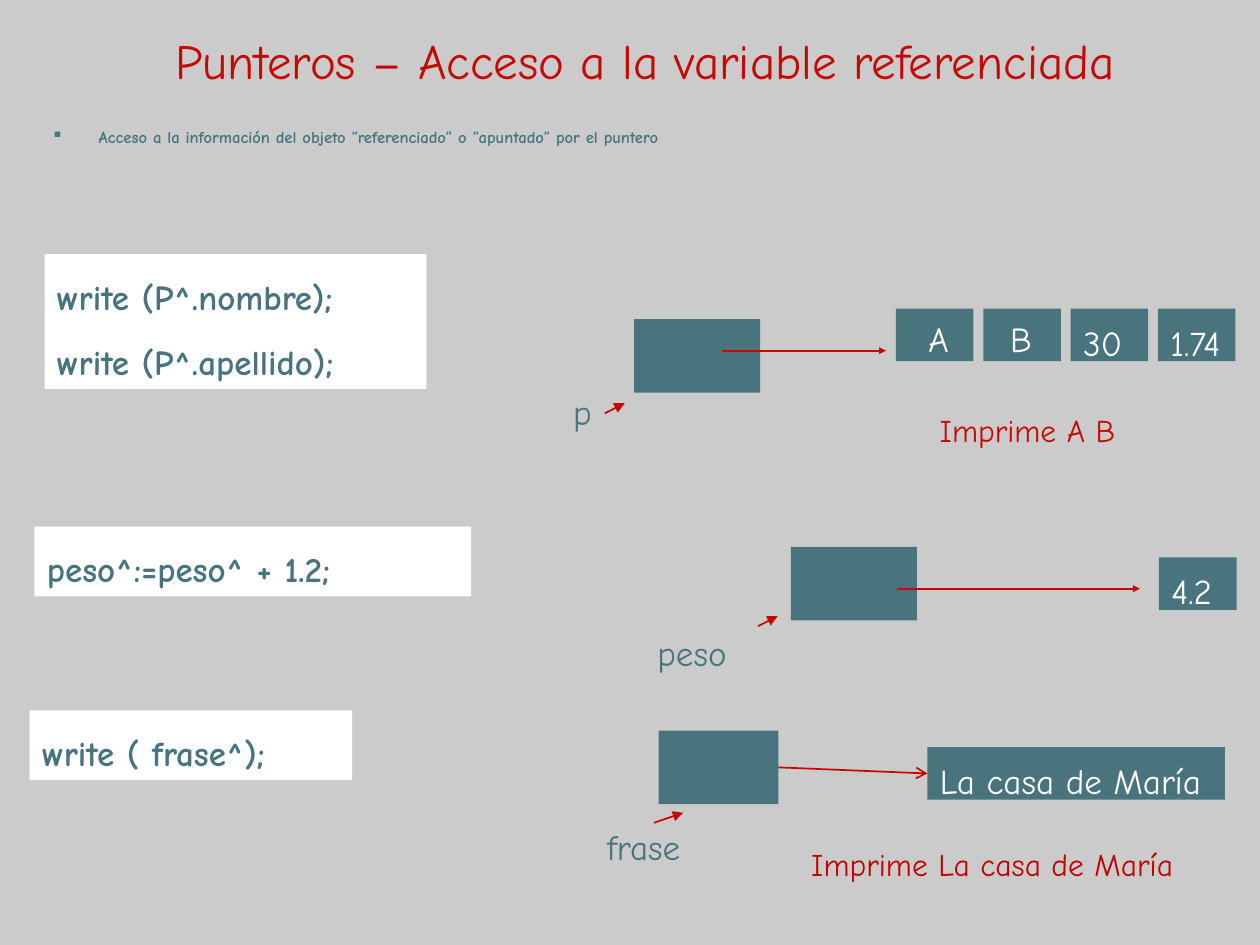
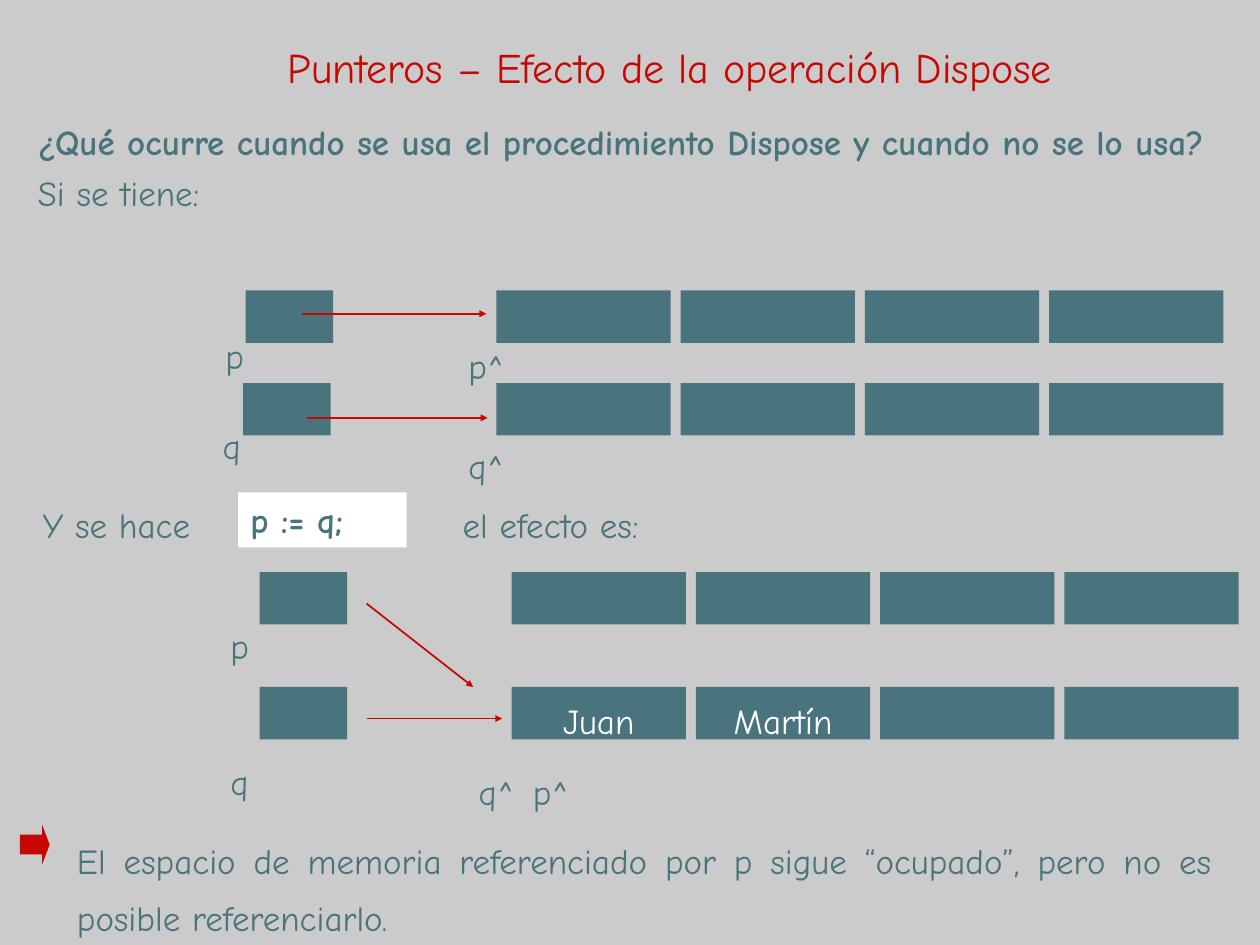
from dataclasses import dataclass

from lxml import etree
from pptx import Presentation
from pptx import util as u
from pptx.dml.color import RGBColor
from pptx.enum import shapes, text
from pptx.oxml import ns

Pt = u.Pt
MIDDLE = text.MSO_ANCHOR.MIDDLE
TOP = text.MSO_ANCHOR.TOP
LEFT = text.PP_ALIGN.LEFT
CENTER = text.PP_ALIGN.CENTER
JUSTIFY = text.PP_ALIGN.JUSTIFY


@dataclass(frozen=True)
class Theme:
    font: str = "Comic Neue"
    back: str = "CBCBCB"
    teal: str = "49747D"
    red: str = "C60702"
    dark_red: str = "C00000"
    white: str = "FFFFFF"
    body: float = 20
    note: float = 18
    bullet: float = 9.5
    loose: float = 1.35
    gap: float = 5
    indent: float = 27
    line: float = 1


T = Theme()


def rgb(value):
    return RGBColor.from_string(value)


def child(parent, tag, **attrs):
    return etree.SubElement(parent, ns.qn(tag), **attrs)


def write(sp, content, color=T.teal, size=T.body, bold=False, align=LEFT,
          spacing=T.loose, anchor=TOP):
    tf = sp.text_frame
    tf.text = content
    tf.word_wrap = True
    tf.vertical_anchor = anchor
    for i, p in enumerate(tf.paragraphs):
        p.alignment = align
        p.line_spacing = spacing
        if i:
            p.space_before = Pt(T.gap)
        for r in p.runs:
            r.font.name = T.font
            r.font.size = Pt(size)
            r.font.bold = bold
            r.font.color.rgb = rgb(color)
    return tf


def add_label(s, content, x, y, w, h, **style):
    sp = s.shapes.add_textbox(Pt(x), Pt(y), Pt(w), Pt(h))
    return write(sp, content, **style)


def add_box(s, x, y, w, h, fill=T.teal, kind=shapes.MSO_SHAPE.RECTANGLE):
    sp = s.shapes.add_shape(kind, Pt(x), Pt(y), Pt(w), Pt(h))
    sp.shadow.inherit = False
    sp.fill.solid()
    sp.fill.fore_color.rgb = rgb(fill)
    sp.line.fill.background()
    return sp


def add_cells(s, x, y, w, h, pitch, contents, align=LEFT):
    for i, content in enumerate(contents):
        sp = add_box(s, x + i * pitch, y, w, h)
        if content:
            write(sp, content, T.white, align=align, anchor=MIDDLE)


def add_code(s, content, x, y, w, h, spacing=T.loose):
    write(add_box(s, x, y, w, h, T.white), content, bold=True, spacing=spacing)


def add_arrow(s, x1, y1, x2, y2, head="triangle", size="sm"):
    c = s.shapes.add_connector(shapes.MSO_CONNECTOR.STRAIGHT,
                               Pt(x1), Pt(y1), Pt(x2), Pt(y2))
    c.line.color.rgb = rgb(T.red)
    c.line.width = Pt(T.line)
    child(c.line._get_or_add_ln(), "a:tailEnd", type=head, w=size, len=size)
    child(c._element.spPr, "a:effectLst")
    return c


def add_bullet(p):
    pPr = p._p.get_or_add_pPr()
    pPr.set("marL", str(Pt(T.indent)))
    pPr.set("indent", str(-Pt(T.indent)))
    child(child(pPr, "a:buClr"), "a:srgbClr", val=T.teal)
    child(pPr, "a:buChar", char="▪")


def add_tab(p, position):
    tabs = child(p._p.get_or_add_pPr(), "a:tabLst")
    child(tabs, "a:tab", pos=str(Pt(position)), algn="l")


def add_slide(prs, title, size, x, y, w, h):
    s = prs.slides.add_slide(prs.slide_layouts[6])
    add_label(s, title, x, y, w, h, color=T.red, size=size, align=CENTER,
              spacing=1, anchor=MIDDLE)
    return s


def build_access(prs):
    s = add_slide(prs, "Punteros – Acceso a la variable referenciada", 28,
                  51, 0, 635, 69)
    tf = add_label(s, "Acceso a la información del objeto “referenciado” o "
                   "“apuntado” por el puntero", 22.3, 71.3, 672, 51,
                   size=T.bullet, bold=True, spacing=0.8)
    add_bullet(tf.paragraphs[0])

    add_code(s, "write (P^.nombre);\nwrite (P^.apellido);", 25.5, 145.3, 218.2, 77)
    add_code(s, "peso^:=peso^ + 1.2;", 19.7, 301, 249.6, 39.8)
    add_code(s, "write ( frase^);", 17, 406, 184.2, 39.8)

    add_box(s, 362.4, 182.4, 72, 42)
    add_box(s, 452, 312.5, 72, 42)
    phrase_pointer = add_box(s, 376.4, 417.5, 68.4, 42)
    for name, x, y, w, h in (("p", 320.4, 212.4, 61, 36.7),
                             ("peso", 368.6, 354.2, 138, 29),
                             ("frase", 339.8, 465.1, 90, 29)):
        add_label(s, name, x, y, w, h, anchor=MIDDLE)

    add_cells(s, 512, 176.4, 44.3, 30, 49.9, ("", "", "30", "1.74"))
    for letter, x in (("A", 523.4), ("B", 570.2)):
        add_label(s, letter, x, 170.6, 27.4, 36.7, color=T.white, anchor=MIDDLE)
    add_cells(s, 662.3, 318.5, 44.4, 30, 0, ("4.2",))
    phrase = add_box(s, 530, 427, 170, 30)
    write(phrase, "La casa de María", T.white, anchor=MIDDLE)

    add_arrow(s, 412.5, 200.4, 506.3, 200.4)
    add_arrow(s, 512.8, 336.4, 651.4, 336.4)
    link = add_arrow(s, 444.8, 440, 530, 440, "arrow", "med")
    link.begin_connect(phrase_pointer, 3)
    link.end_connect(phrase, 1)
    for ends in ((345.6, 236.2, 357, 230.4), (433.2, 357.8, 444.4, 352.1),
                 (373.7, 470.2, 390.4, 464.4)):
        add_arrow(s, *ends, size="med")

    add_label(s, "Imprime A B", 529.9, 223.9, 141.8, 36.7,
              color=T.red, size=T.note)
    add_label(s, "Imprime La casa de María", 456.5, 471.6, 266.4, 36.7,
              color=T.dark_red, size=T.note)


def build_dispose(prs):
    s = add_slide(prs, "Punteros – Efecto de la operación Dispose", 24,
                  85, 9.4, 595.4, 57.6)
    tf = add_label(s, "¿Qué ocurre cuando se usa el procedimiento Dispose y "
                   "cuando no se lo usa?\nSi se tiene:", 14.4, 65.5, 689, 88,
                   bold=True, spacing=1)
    tf.paragraphs[1].runs[0].font.bold = False

    empty = ("",) * 4
    for pointer_x, record_x, y, contents in (
            (140.4, 283.6, 166, empty),
            (139, 283.6, 218.9, empty),
            (148.4, 292.4, 326.9, empty),
            (148.4, 292.4, 392.6, ("Juan", "Martín", "", ""))):
        add_box(s, pointer_x, y, 50, 30)
        add_cells(s, record_x, y, 99.6, 30, 105.3, contents, CENTER)

    for name, x, y in (("p", 121.7, 179.3), ("q", 120.2, 230.4),
                       ("p^", 260.6, 185), ("q^", 260.6, 241.9),
                       ("p", 124.6, 344.9), ("q", 124.6, 422.6),
                       ("q^", 266.4, 428.4), ("p^", 297.4, 428.4)):
        add_label(s, name, x, y, 52, 39.6)

    for ends in ((172.8, 179.3, 277.9, 179.3), (175.7, 238.8, 278.6, 238.8),
                 (209.5, 344.9, 270.4, 392.6), (209.5, 410.6, 287, 410.6)):
        add_arrow(s, *ends)

    tf = add_label(s, "Y se hace\tel efecto es:", 17.3, 275.8, 490, 39.6)
    add_tab(tf.paragraphs[0], 240)
    add_code(s, "p := q;", 136, 281.4, 96.4, 31.4, spacing=1)

    arrow = add_box(s, 11.4, 471.4, 17, 22.5, T.red,
                    shapes.MSO_SHAPE.RIGHT_ARROW)
    arrow.adjustments[0] = 0.5
    arrow.adjustments[1] = 0.25
    add_label(s, "El espacio de memoria referenciado por p sigue “ocupado”, "
              "pero no es posible referenciarlo.", 36.9, 468, 663, 72,
              align=JUSTIFY)


def main():
    prs = Presentation()
    prs.slide_width, prs.slide_height = Pt(720), Pt(540)
    fill = prs.slide_master.background.fill
    fill.solid()
    fill.fore_color.rgb = rgb(T.back)
    build_access(prs)
    build_dispose(prs)
    prs.save("out.pptx")


if __name__ == "__main__":
    main()
